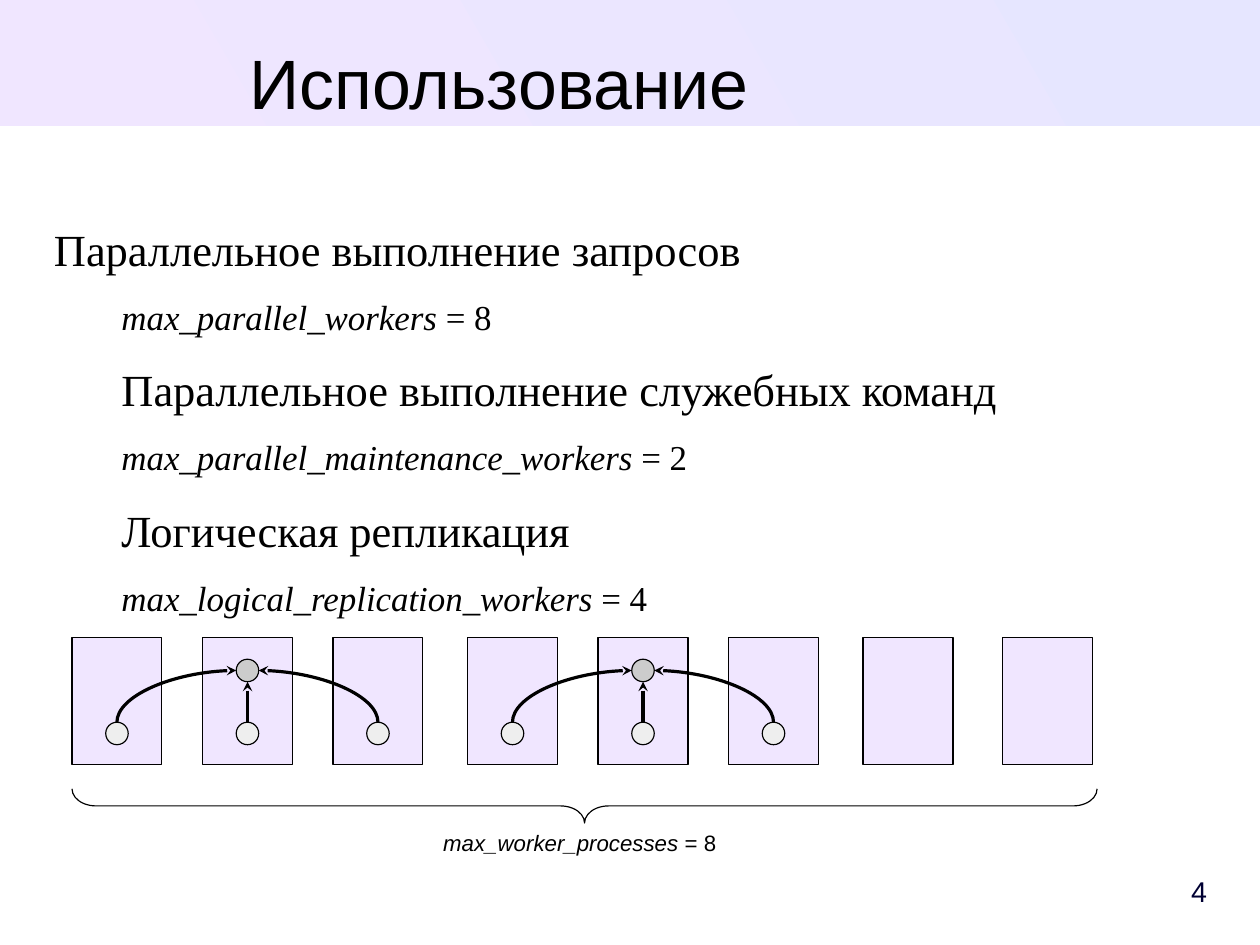
"""Build the slide on the use of background worker processes."""
from dataclasses import dataclass

from lxml import etree
from pptx import Presentation
from pptx.dml.color import RGBColor
from pptx.enum.shapes import MSO_CONNECTOR, MSO_SHAPE
from pptx.enum.text import MSO_ANCHOR, PP_ALIGN
from pptx.oxml.ns import qn
from pptx.util import Cm, Pt

RECT, OVAL, BRACE = MSO_SHAPE.RECTANGLE, MSO_SHAPE.OVAL, MSO_SHAPE.RIGHT_BRACE
LINE, CURVE = MSO_CONNECTOR.STRAIGHT, MSO_CONNECTOR.CURVE
TOP, MIDDLE = MSO_ANCHOR.TOP, MSO_ANCHOR.MIDDLE
LEFT, CENTER, RIGHT = PP_ALIGN.LEFT, PP_ALIGN.CENTER, PP_ALIGN.RIGHT

BLACK = RGBColor(0x00, 0x00, 0x00)
NAVY = RGBColor(0x00, 0x00, 0x33)
LILAC = RGBColor(0xF0, 0xE6, 0xFF)
BLUE = RGBColor(0xE6, 0xE6, 0xFF)
GRAY = RGBColor(0xCC, 0xCC, 0xCC)
PALE = RGBColor(0xEE, 0xEE, 0xEE)
SANS, SERIF = "Arial", "Times New Roman"

BOX_W, BOX_H, BOX_Y = 2.0, 2.82, 14.17
STEP, DOT = 2.9, 0.5
LEAD_Y, WORK_Y = 14.9, 16.3
GROUPS = (1.6, 10.39)
IDLE = (19.18, 22.28)


@dataclass
class Area:
    """Place of a shape in centimetres."""
    x: float
    y: float
    w: float
    h: float

    def cm(self) -> tuple:
        """Return the place as lengths."""
        return Cm(self.x), Cm(self.y), Cm(self.w), Cm(self.h)


@dataclass
class Topic:
    """A use of worker processes and the setting that limits it."""
    name: str
    key: str
    value: int


TOPICS = (
    Topic("Параллельное выполнение запросов", "max_parallel_workers", 8),
    Topic("Параллельное выполнение служебных команд",
          "max_parallel_maintenance_workers", 2),
    Topic("Логическая репликация", "max_logical_replication_workers", 4),
)


def apply(item, **values) -> None:
    """Set each given attribute of an item."""
    for name, value in values.items():
        setattr(item, name, value)


def write(para, text: str, size: int, face: str, color=BLACK,
          italic: bool = False) -> None:
    """Add a formatted run to a paragraph."""
    run = para.add_run()
    run.text = text
    apply(run.font, size=Pt(size), name=face, italic=italic, bold=False)
    run.font.color.rgb = color


def setting(para, key: str, value: int, size: int, face: str) -> None:
    """Write a setting name in italics and its value."""
    write(para, key, size, face, italic=True)
    write(para, f" = {value}", size, face)


def frame(shape, side: float = 0, edge: float = 0, anchor=TOP):
    """Prepare a text frame and return its first paragraph."""
    text = shape.text_frame
    apply(text, word_wrap=True, vertical_anchor=anchor,
          margin_left=Cm(side), margin_right=Cm(side),
          margin_top=Cm(edge), margin_bottom=Cm(edge))
    return text.paragraphs[0]


def draw(slide, kind, area: Area, color=None):
    """Draw a preset shape with a hairline border."""
    shape = slide.shapes.add_shape(kind, *area.cm())
    shape.shadow.inherit = False
    if color is None:
        shape.fill.background()
    else:
        shape.fill.solid()
        shape.fill.fore_color.rgb = color
    shape.line.color.rgb = BLACK
    shape.line.width = Pt(0)
    return shape


def dot(slide, x: float, y: float, color) -> None:
    """Draw a process dot around its centre."""
    draw(slide, OVAL, Area(x - DOT / 2, y - DOT / 2, DOT, DOT), color)


def arrow(slide, kind, tip: tuple, tail: tuple) -> None:
    """Draw a connector with an arrowhead at its tip."""
    link = slide.shapes.add_connector(
        kind, *(Cm(value) for value in (*tip, *tail)))
    link.line.color.rgb = BLACK
    link.line.width = Pt(0)
    props = link._element.spPr
    if kind == CURVE:
        props.find(qn("a:prstGeom")).set("prst", "curvedConnector2")
    head = etree.SubElement(props.find(qn("a:ln")), qn("a:headEnd"))
    head.set("type", "stealth")
    etree.SubElement(props, qn("a:effectLst"))


def header(slide) -> None:
    """Draw the band and move the title onto it."""
    band = draw(slide, RECT, Area(0, 0, 28, 2.8))
    band.line.fill.background()
    band.fill.gradient()
    band.fill.gradient_angle = 210
    for stop, color in zip(band.fill.gradient_stops, (BLUE, LILAC)):
        stop.color.rgb = color
    title = slide.shapes.title
    tree = slide.shapes._spTree
    tree.remove(band._element)
    tree.insert(2, band._element)
    place = Area(1.2, 0.88, 19.8, 1.75).cm()
    apply(title, **dict(zip(("left", "top", "width", "height"), place)))
    para = frame(title)
    para.alignment = CENTER
    write(para, "Использование", 44, SANS)


def topics(slide) -> None:
    """Write the list of topics with their settings."""
    box = slide.shapes.add_textbox(*Area(1.2, 4.87, 25.6, 9.2).cm())
    first = frame(box)
    for topic in TOPICS:
        name = first if topic is TOPICS[0] else box.text_frame.add_paragraph()
        detail = box.text_frame.add_paragraph()
        write(name, topic.name, 28, SERIF)
        setting(detail, topic.key, topic.value, 22, SERIF)
        for para, gap in ((name, 11.3), (detail, 14.2)):
            apply(para, space_after=Pt(gap), line_spacing=1.05)
            if para is not first:
                para._p.get_or_add_pPr().set("marL", str(Cm(1.5)))


def team(slide, left: float) -> None:
    """Draw three processes, two of which report to the middle one."""
    mids = [left + BOX_W / 2 + STEP * i for i in range(3)]
    for mid in mids:
        draw(slide, RECT, Area(mid - BOX_W / 2, BOX_Y, BOX_W, BOX_H), LILAC)
    lead, half = mids[1], DOT / 2
    for mid, side in zip(mids, (-half, 0, half)):
        tip = (lead + side, LEAD_Y if side else LEAD_Y + half)
        arrow(slide, CURVE if side else LINE, tip, (mid, WORK_Y - half))
        dot(slide, mid, WORK_Y, PALE)
    dot(slide, lead, LEAD_Y, GRAY)


def scheme(slide) -> None:
    """Draw the pool of processes with its brace and caption."""
    for left in GROUPS:
        team(slide, left)
    for left in IDLE:
        draw(slide, RECT, Area(left, BOX_Y, BOX_W, BOX_H), LILAC)
    brace = draw(slide, BRACE, Area(12.61, 6.52, 0.76, 22.78))
    brace.rotation = 90
    brace.adjustments[0] = 0.7
    label = slide.shapes.add_textbox(*Area(9.6, 18.29, 6.8, 0.81).cm())
    para = frame(label, 0.25, 0.13)
    para.alignment = LEFT
    setting(para, "max_worker_processes", 8, 14, SANS)


def number(slide) -> None:
    """Write the slide number."""
    box = slide.shapes.add_textbox(*Area(24.61, 19.2, 2.21, 1.19).cm())
    para = frame(box, 0, 0.13, MIDDLE)
    para.alignment = RIGHT
    write(para, "4", 18, SANS, NAVY)


def main() -> None:
    """Build and save the slide."""
    deck = Presentation()
    apply(deck, slide_width=Cm(28), slide_height=Cm(21))
    slide = deck.slides.add_slide(deck.slide_layouts[5])
    for part in (header, topics, scheme, number):
        part(slide)
    deck.save("out.pptx")


if __name__ == "__main__":
    main()
